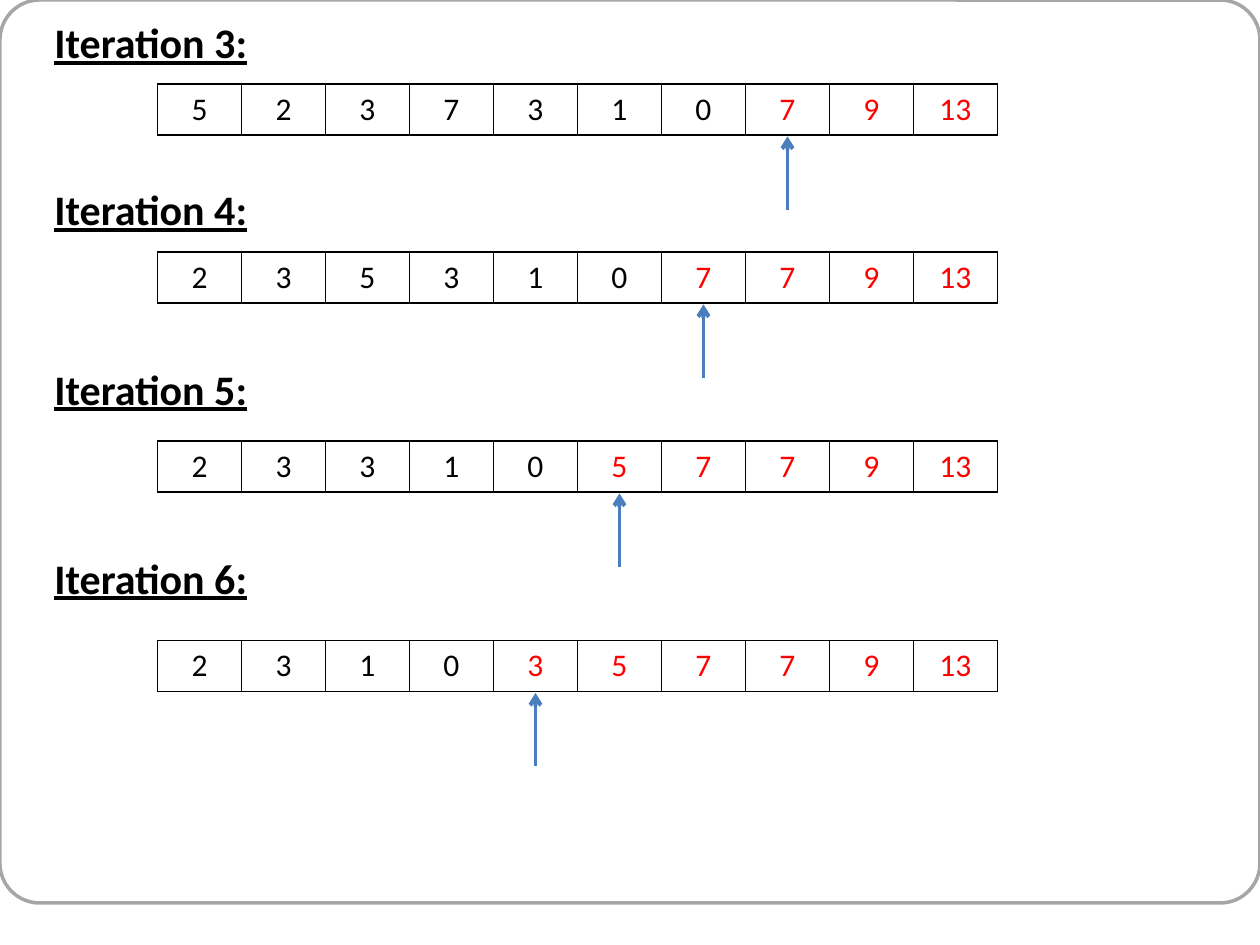
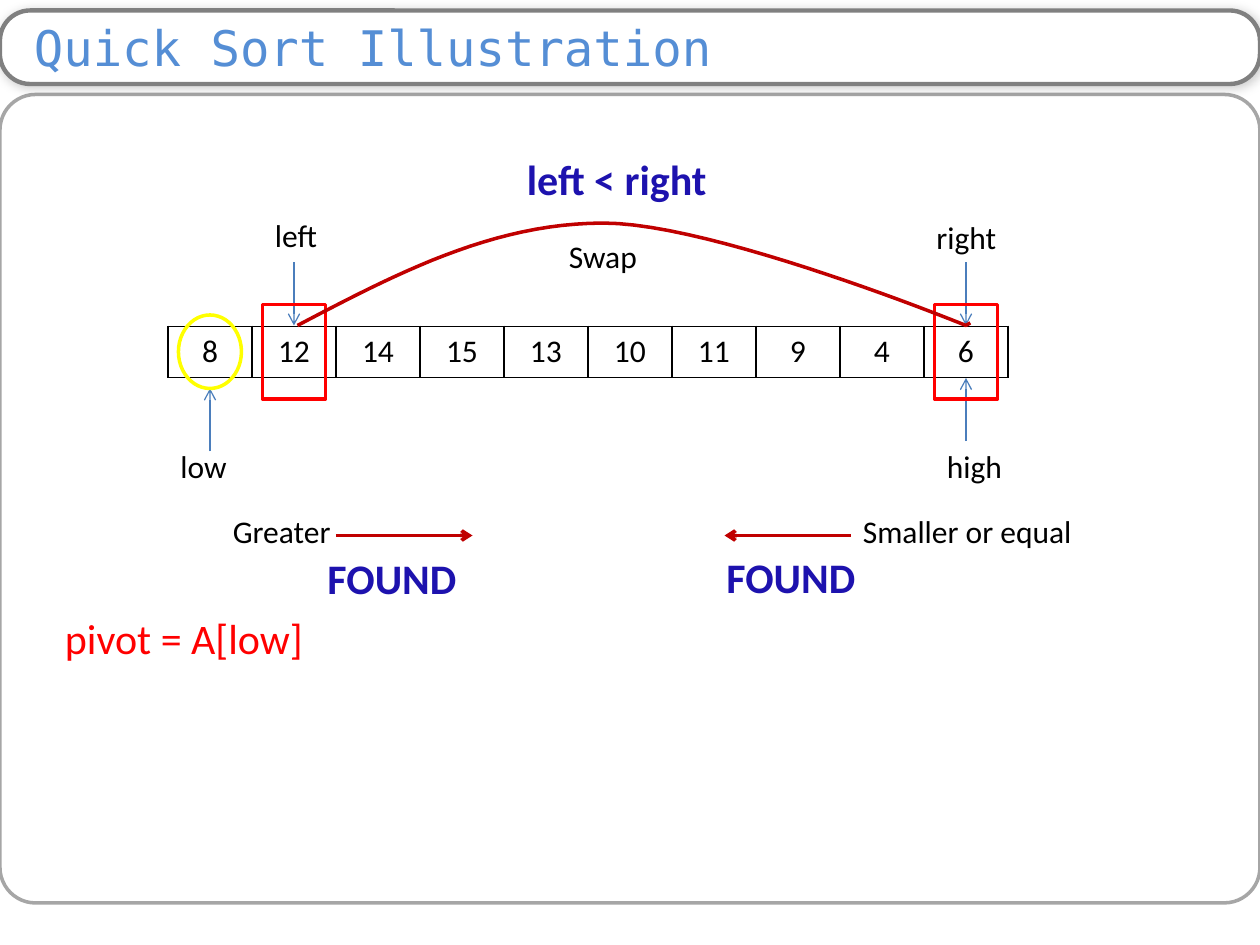
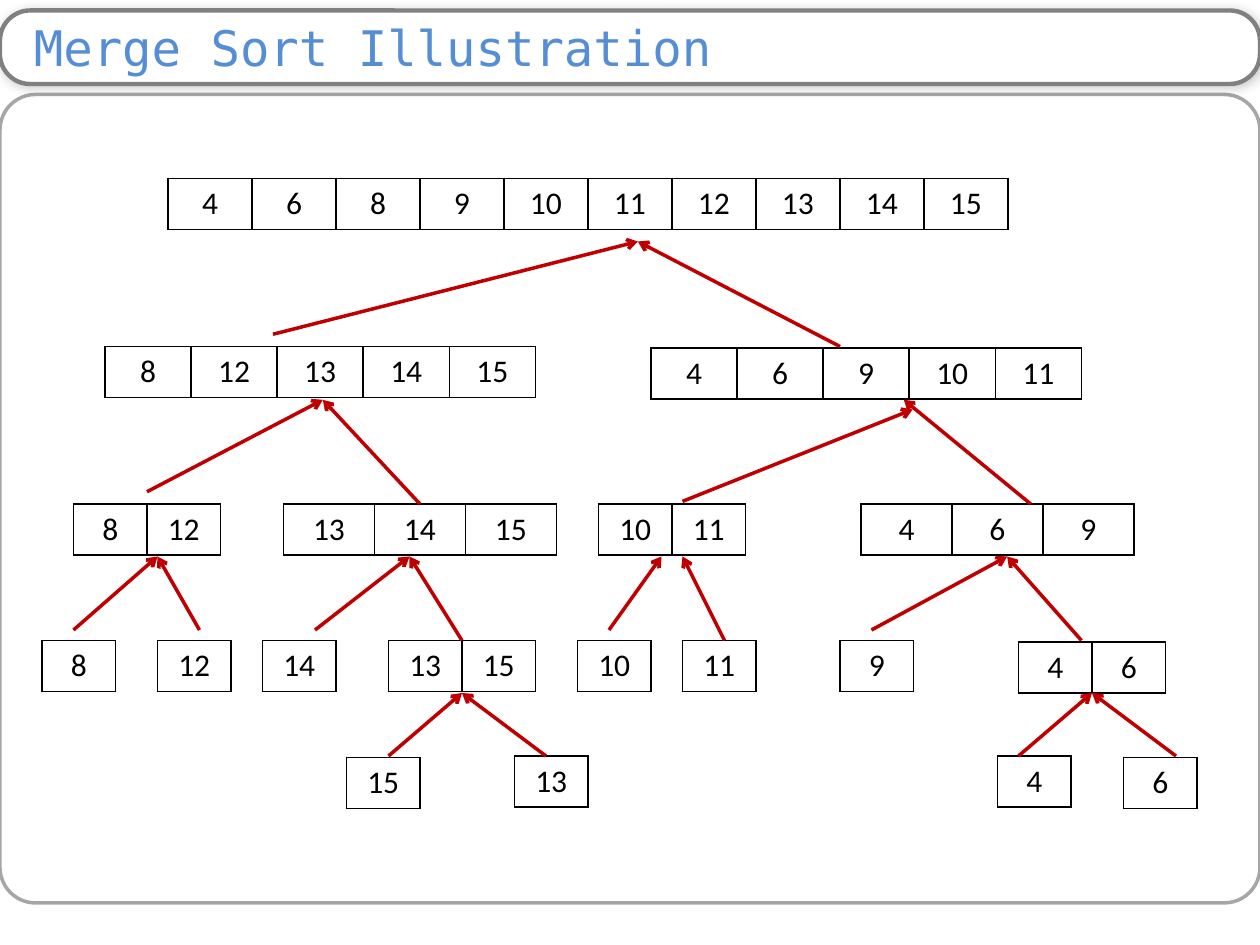
from dataclasses import dataclass
from typing import NamedTuple

import pptx
import pptx.dml.color
import pptx.enum.dml
import pptx.enum.shapes
import pptx.enum.text
import pptx.oxml
import pptx.oxml.ns
import pptx.util
from lxml import etree

Pt = pptx.util.Pt
SHAPE = pptx.enum.shapes.MSO_SHAPE
NS = pptx.oxml.ns.nsdecls("a")


@dataclass(frozen=True)
class Theme:
    font: str = "Calibri"
    title_font: str = "DejaVu Sans Mono"
    title_size: float = 28
    head_size: float = 24
    body_size: float = 18
    black: str = "000000"
    white: str = "FFFFFF"
    red: str = "FF0000"
    dark_red: str = "C00000"
    yellow: str = "FFFF00"
    blue: str = "4B7EBC"
    navy: str = "1D12AE"
    title: str = "558ED5"
    title_line: str = "808080"
    panel_line: str = "A6A6A6"
    line: float = 2
    row_height: float = 29.2
    column: float = 48


T = Theme()


class Point(NamedTuple):
    x: float
    y: float


class Box(NamedTuple):
    left: float
    top: float
    width: float
    height: float


class Label(NamedTuple):
    text: str
    box: Box
    size: float = T.body_size
    color: str = T.black
    bold: bool = False
    underline: bool = False


class Array(NamedTuple):
    left: float
    top: float
    values: list[int]
    column: float = T.column
    sorted_from: int | None = None


class Arrow(NamedTuple):
    start: Point
    end: Point
    color: str = T.dark_red
    width: float = T.line


class Iteration(NamedTuple):
    number: int
    label_top: float
    array_top: float
    sorted_from: int
    values: list[int]


class Merge(NamedTuple):
    target: Point
    sources: list[Point]


# Drawing helpers

def rgb(color: str) -> pptx.dml.color.RGBColor:
    return pptx.dml.color.RGBColor.from_string(color)


def style_runs(p, size: float, color: str, font: str = T.font) -> None:
    for r in p.runs:
        r.font.name, r.font.size = font, Pt(size)
        r.font.color.rgb = rgb(color)


def outline(sp, color: str, width: float = T.line) -> None:
    sp.shadow.inherit = False
    sp.fill.background()
    sp.line.color.rgb = rgb(color)
    sp.line.width = Pt(width)


def add_outline(s, kind, box: Box, color: str, width: float = T.line):
    sp = s.shapes.add_shape(kind, *map(Pt, box))
    outline(sp, color, width)
    return sp


def add_label(s, label: Label) -> None:
    tf = s.shapes.add_textbox(*map(Pt, label.box)).text_frame
    tf.word_wrap = True
    tf.auto_size = pptx.enum.text.MSO_AUTO_SIZE.SHAPE_TO_FIT_TEXT
    tf.text = label.text
    p = tf.paragraphs[0]
    style_runs(p, label.size, label.color)
    for r in p.runs:
        r.font.bold, r.font.underline = label.bold, label.underline


def add_arrow(s, arrow: Arrow) -> None:
    line = s.shapes.add_connector(pptx.enum.shapes.MSO_CONNECTOR.STRAIGHT,
                                  *map(Pt, arrow.start + arrow.end))
    line.line.color.rgb = rgb(arrow.color)
    line.line.width = Pt(arrow.width)
    line.line._get_or_add_ln().append(
        pptx.oxml.parse_xml(f'<a:tailEnd {NS} type="arrow"/>'))
    etree.SubElement(line._element.spPr, pptx.oxml.ns.qn("a:effectLst"))


def add_cell_borders(cell) -> None:
    tc_pr = cell._tc.get_or_add_tcPr()
    for side in "LRTB":
        tc_pr.append(pptx.oxml.parse_xml(
            f'<a:ln{side} {NS} w="{Pt(1)}"><a:solidFill>'
            f'<a:srgbClr val="{T.black}"/></a:solidFill></a:ln{side}>'))


def add_array(s, array: Array) -> None:
    n = len(array.values)
    frame = s.shapes.add_table(1, n, Pt(array.left), Pt(array.top),
                               Pt(n * array.column), Pt(T.row_height))
    table = frame.table
    table.first_row = table.horz_banding = False
    for i, value in enumerate(array.values):
        table.columns[i].width = Pt(array.column)
        cell = table.cell(0, i)
        add_cell_borders(cell)
        cell.fill.background()
        cell.text_frame.text = str(value)
        p = cell.text_frame.paragraphs[0]
        p.alignment = pptx.enum.text.PP_ALIGN.CENTER
        is_sorted = array.sorted_from is not None and i >= array.sorted_from
        style_runs(p, T.body_size, T.red if is_sorted else T.black)


def bezier(a: Point, b: Point, c: Point, d: Point, steps: int = 24) -> list[Point]:
    """Points along a cubic curve, leaving out its start."""
    points = []
    for i in range(1, steps + 1):
        t = i / steps
        weights = ((1 - t) ** 3, 3 * t * (1 - t) ** 2, 3 * t * t * (1 - t), t ** 3)
        points.append(Point(*(sum(w * v for w, v in zip(weights, axis))
                              for axis in zip(a, b, c, d))))
    return points


# Shared slide frame

def add_title(s, title: str) -> None:
    sp = add_outline(s, SHAPE.ROUNDED_RECTANGLE, Box(0, 6, 720, 42), T.title_line, 2.5)
    sp.adjustments[0] = 0.41
    sp.fill.solid()
    sp.fill.fore_color.rgb = rgb(T.white)
    effects = sp._element.spPr.find(pptx.oxml.ns.qn("a:effectLst"))
    effects.append(pptx.oxml.parse_xml(
        f'<a:outerShdw {NS} blurRad="{Pt(6)}" dist="{Pt(1)}" dir="2700000">'
        f'<a:srgbClr val="{T.black}"><a:alpha val="20000"/></a:srgbClr></a:outerShdw>'))
    tf = sp.text_frame
    tf.margin_left, tf.margin_right = Pt(14.4), Pt(7.2)
    tf.margin_top = tf.margin_bottom = 0
    tf.vertical_anchor = pptx.enum.text.MSO_ANCHOR.MIDDLE
    tf.text = title
    tf.paragraphs[0].alignment = pptx.enum.text.PP_ALIGN.LEFT
    style_runs(tf.paragraphs[0], T.title_size, T.title, T.title_font)


def add_slide(prs, title: str = ""):
    s = prs.slides.add_slide(prs.slide_layouts[6])
    top = 54 if title else 0
    panel = add_outline(s, SHAPE.ROUNDED_RECTANGLE, Box(0, top, 720, 516 - top),
                        T.panel_line)
    panel.adjustments[0] = 0.044
    if title:
        add_title(s, title)
    return s


# Slide 1: iterations with the sorted tail in red

ITERATIONS = [
    Iteration(3, 6, 48, 7, [5, 2, 3, 7, 3, 1, 0, 7, 9, 13]),
    Iteration(4, 101.5, 144, 6, [2, 3, 5, 3, 1, 0, 7, 7, 9, 13]),
    Iteration(5, 204, 252, 5, [2, 3, 3, 1, 0, 5, 7, 7, 9, 13]),
    Iteration(6, 312, 366, 4, [2, 3, 1, 0, 3, 5, 7, 7, 9, 13]),
]


def build_iterations(prs) -> None:
    s = add_slide(prs)
    left = 90
    for it in ITERATIONS:
        add_label(s, Label(f"Iteration {it.number}:", Box(24, it.label_top, 162, 36),
                           T.head_size, bold=True, underline=True))
        add_array(s, Array(left, it.array_top, it.values, sorted_from=it.sorted_from))
        x = left + (it.sorted_from + 0.5) * T.column
        add_arrow(s, Arrow(Point(x, it.array_top + 72), Point(x, it.array_top + 30),
                           T.blue, 2.25))


# Slide 2: quick sort partition step

QUICK_LABELS = [
    Label("low", Box(96, 252, 54, 29)),
    Label("high", Box(534, 252, 54, 29)),
    Label("right", Box(528, 121, 54, 29)),
    Label("left", Box(150, 120, 54, 29)),
    Label("pivot = A[low]", Box(30, 346.5, 192, 36), T.head_size, T.red),
    Label("Greater", Box(126, 289, 72, 29)),
    Label("Smaller or equal", Box(486, 289, 150, 29)),
    Label("Swap", Box(318, 132, 72, 29)),
    Label("FOUND", Box(180, 312, 90, 36), T.head_size, T.navy, True),
    Label("FOUND", Box(408, 311.5, 90, 36), T.head_size, T.navy, True),
    Label("left < right", Box(294, 84, 156, 36), T.head_size, T.navy, True),
]


def add_swap_curve(s) -> None:
    start, peak, end = Point(170, 186), Point(345, 127.5), Point(552, 186)
    points = bezier(start, Point(225.5, 157), Point(281, 127.5), peak)
    points += bezier(peak, Point(408.5, 127.5), end, end)
    points.append(Point(554.5, 184.5))
    builder = s.shapes.build_freeform(Pt(start.x), Pt(start.y))
    builder.add_line_segments([(Pt(x), Pt(y)) for x, y in points], close=False)
    outline(builder.convert_to_shape(), T.dark_red)


def build_quick_sort(prs) -> None:
    s = add_slide(prs, "Quick Sort Illustration")
    add_array(s, Array(96, 186.5, [8, 12, 14, 15, 13, 10, 11, 9, 4, 6]))
    low, left, right = 120, 168, 552
    for x, start, end in [(low, 258, 222), (right, 252, 216),
                          (right, 150, 186), (left, 150, 186)]:
        add_arrow(s, Arrow(Point(x, start), Point(x, end), T.blue, 0.75))
    for start, end in [(192, 270), (486, 414)]:
        add_arrow(s, Arrow(Point(start, 306), Point(end, 306)))
    for x in (left, right):
        add_outline(s, SHAPE.RECTANGLE, Box(x - 18, 174, 36, 54), T.red)
    add_swap_curve(s)
    for label in QUICK_LABELS:
        add_label(s, label)
    add_outline(s, SHAPE.OVAL, Box(low - 18, 180, 36, 42), T.yellow)


# Slide 3: merge sort tree

# Column width by number of values
MERGE_COLUMNS = {1: 42, 2: 42, 3: 52, 5: 49.2, 10: T.column}

MERGE_ARRAYS = [
    (96, 102, [4, 6, 8, 9, 10, 11, 12, 13, 14, 15]),
    (60, 198, [8, 12, 13, 14, 15]),
    (372, 198.75, [4, 6, 9, 10, 11]),
    (42, 288, [8, 12]),
    (162, 288, [13, 14, 15]),
    (342, 288, [10, 11]),
    (492, 288, [4, 6, 9]),
    (24, 366, [8]),
    (90, 366, [12]),
    (150, 366, [14]),
    (222, 366, [13, 15]),
    (330, 366, [10]),
    (390, 366, [11]),
    (480, 366, [9]),
    (582, 366.75, [4, 6]),
    (198, 432.75, [15]),
    (294, 432, [13]),
    (570, 432, [4]),
    (642, 432.75, [6]),
]

MERGES = [
    Merge(Point(264, 396), [Point(222, 432), Point(312, 432)]),
    Merge(Point(624, 396), [Point(672, 432), Point(582, 432)]),
    Merge(Point(90, 318), [Point(42, 360), Point(114, 360)]),
    Merge(Point(378, 318), [Point(348, 360)]),
    Merge(Point(390, 318), [Point(414, 366)]),
    Merge(Point(234, 318), [Point(264, 366), Point(180, 360)]),
    Merge(Point(575.5, 318), [Point(618, 366), Point(498, 360)]),
    Merge(Point(184.5, 228.5), [Point(240, 288), Point(84, 281)]),
    Merge(Point(516.5, 228.5), [Point(589, 288)]),
    Merge(Point(521.5, 234), [Point(390, 286.5)]),
    Merge(Point(364.5, 138), [Point(480, 198), Point(156, 191)]),
]


def build_merge_sort(prs) -> None:
    s = add_slide(prs, "Merge Sort Illustration")
    for left, top, values in MERGE_ARRAYS:
        add_array(s, Array(left, top, values, MERGE_COLUMNS[len(values)]))
    for merge in MERGES:
        for source in merge.sources:
            add_arrow(s, Arrow(source, merge.target))


def main() -> None:
    prs = pptx.Presentation()
    prs.slide_width, prs.slide_height = Pt(720), Pt(540)
    build_iterations(prs)
    build_quick_sort(prs)
    build_merge_sort(prs)
    prs.save("out.pptx")


if __name__ == "__main__":
    main()
